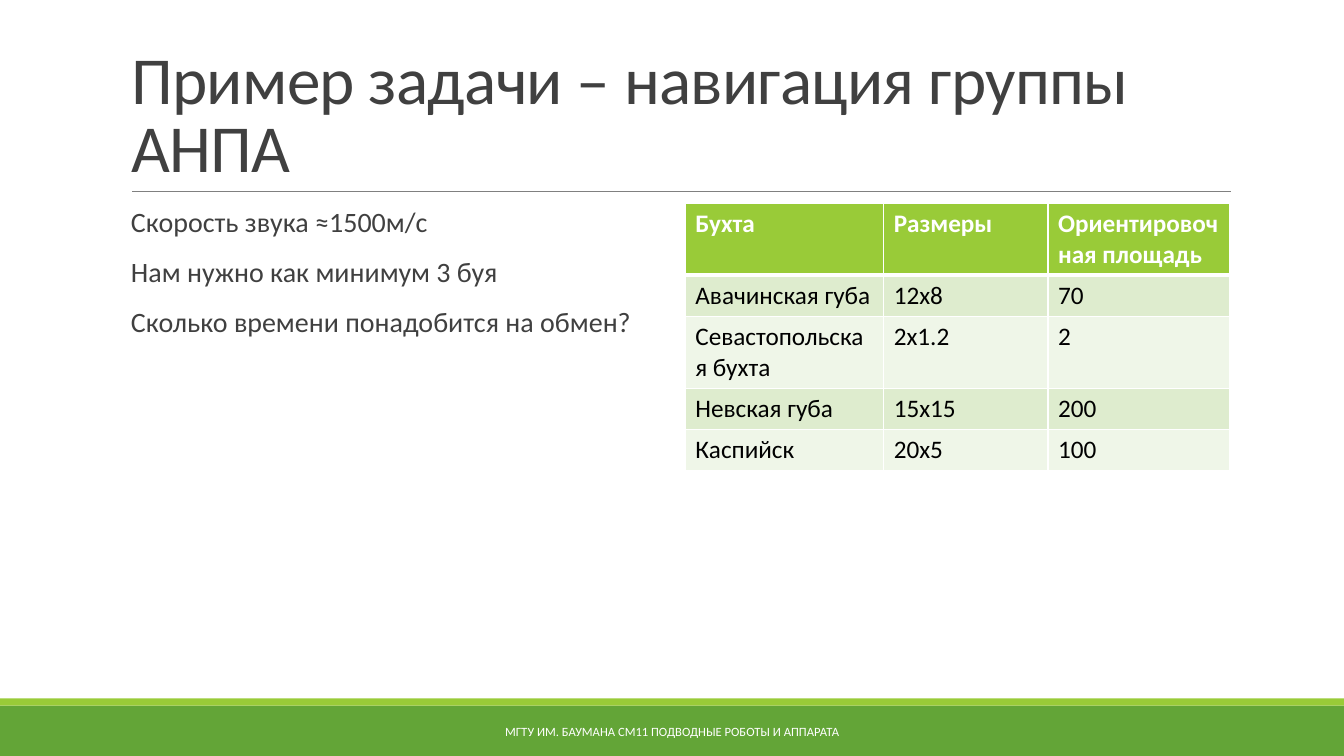
from lxml import etree
from pptx import Presentation
from pptx.dml.color import RGBColor
from pptx.enum.shapes import MSO_CONNECTOR, MSO_SHAPE
from pptx.enum.text import MSO_ANCHOR, MSO_AUTO_SIZE, PP_ALIGN
from pptx.oxml import parse_xml
from pptx.oxml.ns import qn
from pptx.util import Cm, Pt

RECTANGLE = MSO_SHAPE.RECTANGLE
STRAIGHT = MSO_CONNECTOR.STRAIGHT
BOTTOM, MIDDLE = MSO_ANCHOR.BOTTOM, MSO_ANCHOR.MIDDLE
LEFT, CENTER = PP_ALIGN.LEFT, PP_ALIGN.CENTER
NO_AUTOFIT = MSO_AUTO_SIZE.NONE

NAMESPACE = "http://schemas.openxmlformats.org/drawingml/2006/main"
LIME, GREEN, WHITE, DARK = "99CB38", "63A537", "FFFFFF", "404040"
ROW_FILLS = ["DEECCE", "EFF6E8"]


def color(value):
    return RGBColor.from_string(value)


def add_run(paragraph, text, size, font_color, bold=False):
    run = paragraph.add_run()
    run.text = text
    run.font.name = "Calibri"
    run.font.size = Pt(size)
    run.font.bold = bold
    run.font.color.rgb = color(font_color)
    return run


presentation = Presentation()
presentation.slide_width, presentation.slide_height = Cm(33.87), Cm(19.05)
slide = presentation.slides.add_slide(presentation.slide_layouts[1])
shapes = slide.shapes

# Footer bands and title rule
for top, height, fill in [(17.78, 1.27, GREEN), (17.6, 0.18, LIME)]:
    band = shapes.add_shape(RECTANGLE, 0, Cm(top), presentation.slide_width, Cm(height))
    band.shadow.inherit = False
    band.fill.solid()
    band.fill.fore_color.rgb = color(fill)
    band.line.fill.background()

rule = shapes.add_connector(STRAIGHT, Cm(3.33), Cm(4.83), Cm(31.01), Cm(4.83))
rule.line.color.rgb = color("808080")
rule.line.width = Pt(0.5)
etree.SubElement(rule._element.spPr, qn("a:effectLst"))

# Title
title = shapes.title
title.left, title.top, title.width, title.height = Cm(3.05), Cm(0.79), Cm(27.94), Cm(4.04)
title.text_frame.auto_size = NO_AUTOFIT
title.text_frame.vertical_anchor = BOTTOM
paragraph = title.text_frame.paragraphs[0]
paragraph.alignment = LEFT
paragraph.line_spacing = 0.85
run = add_run(paragraph, "Пример задачи – навигация группы АНПА", 48, DARK)
run.font._element.set("spc", "-50")

# List
body = slide.placeholders[1]
body.left, body.top, body.width, body.height = Cm(3.05), Cm(5.13), Cm(13.72), Cm(11.18)
frame = body.text_frame
frame.auto_size = NO_AUTOFIT
frame.margin_left = frame.margin_right = 0
statements = [
    "Скорость звука ≈1500м/с",
    "Нам нужно как минимум 3 буя",
    "Сколько времени понадобится на обмен?",
]
for index, statement in enumerate(statements):
    paragraph = frame.add_paragraph() if index else frame.paragraphs[0]
    paragraph.line_spacing = 0.9
    paragraph.space_before, paragraph.space_after = Pt(12), Pt(2)
    properties = paragraph._p.get_or_add_pPr()
    properties.set("marL", str(Cm(0.25)))
    properties.set("indent", str(-Cm(0.25)))
    bullet_color = etree.SubElement(properties, qn("a:buClr"))
    etree.SubElement(bullet_color, qn("a:srgbClr"), val=LIME)
    etree.SubElement(properties, qn("a:buChar"), char=" ")
    add_run(paragraph, statement, 20, DARK)

# Table of bays
bays = [
    ("Бухта", "Размеры", "Ориентировочная площадь"),
    ("Авачинская губа", "12х8", "70"),
    ("Севастопольская бухта", "2х1.2", "2"),
    ("Невская губа", "15х15", "200"),
    ("Каспийск", "20х5", "100"),
]
row_height = Cm(1.04)
table = shapes.add_table(
    len(bays), 3, Cm(17.27), Cm(5.13), Cm(13.71), row_height * len(bays)
).table
for column, width in zip(table.columns, [5, 4.14, 4.57]):
    column.width = Cm(width)

for row_index, values in enumerate(bays):
    header = row_index == 0
    table.rows[row_index].height = row_height
    for column_index, value in enumerate(values):
        cell = table.cell(row_index, column_index)
        border_widths = {
            "lnL": 1,
            "lnR": 1,
            "lnT": 3 if row_index == 1 else 1,
            "lnB": 3 if header else 1,
        }
        for side, width in border_widths.items():
            cell._tc.get_or_add_tcPr().append(parse_xml(
                f'<a:{side} xmlns:a="{NAMESPACE}" w="{Pt(width)}"><a:solidFill>'
                f'<a:srgbClr val="{WHITE}"/></a:solidFill></a:{side}>'
            ))
        cell.fill.solid()
        cell.fill.fore_color.rgb = color(LIME if header else ROW_FILLS[(row_index - 1) % 2])
        add_run(cell.text_frame.paragraphs[0], value, 18, WHITE if header else "000000", header)

# Footer text
footer = shapes.add_textbox(Cm(10.24), Cm(17.93), Cm(13.39), Cm(1.02))
footer.text_frame.word_wrap = True
footer.text_frame.vertical_anchor = MIDDLE
paragraph = footer.text_frame.paragraphs[0]
paragraph.alignment = CENTER
add_run(paragraph, "МГТУ ИМ. БАУМАНА СМ11 ПОДВОДНЫЕ РОБОТЫ И АППАРАТА", 9, WHITE)

presentation.save("out.pptx")
